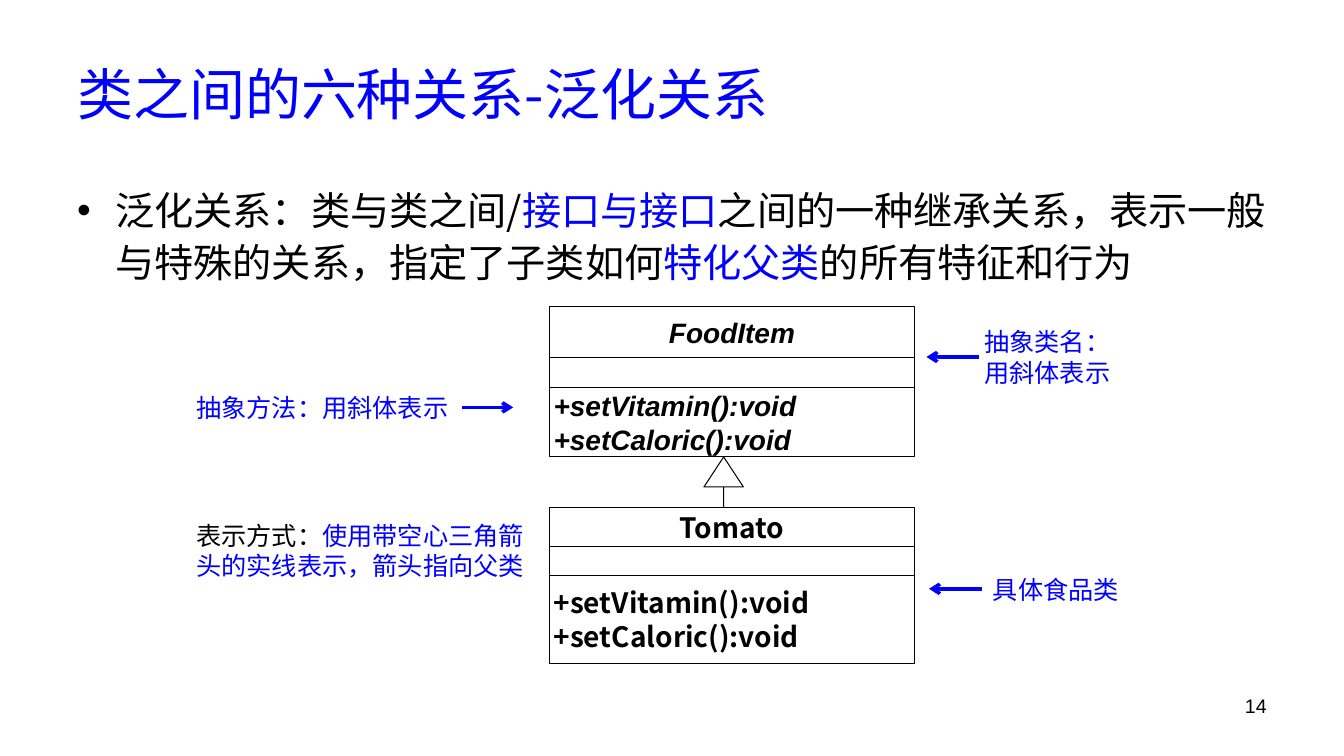
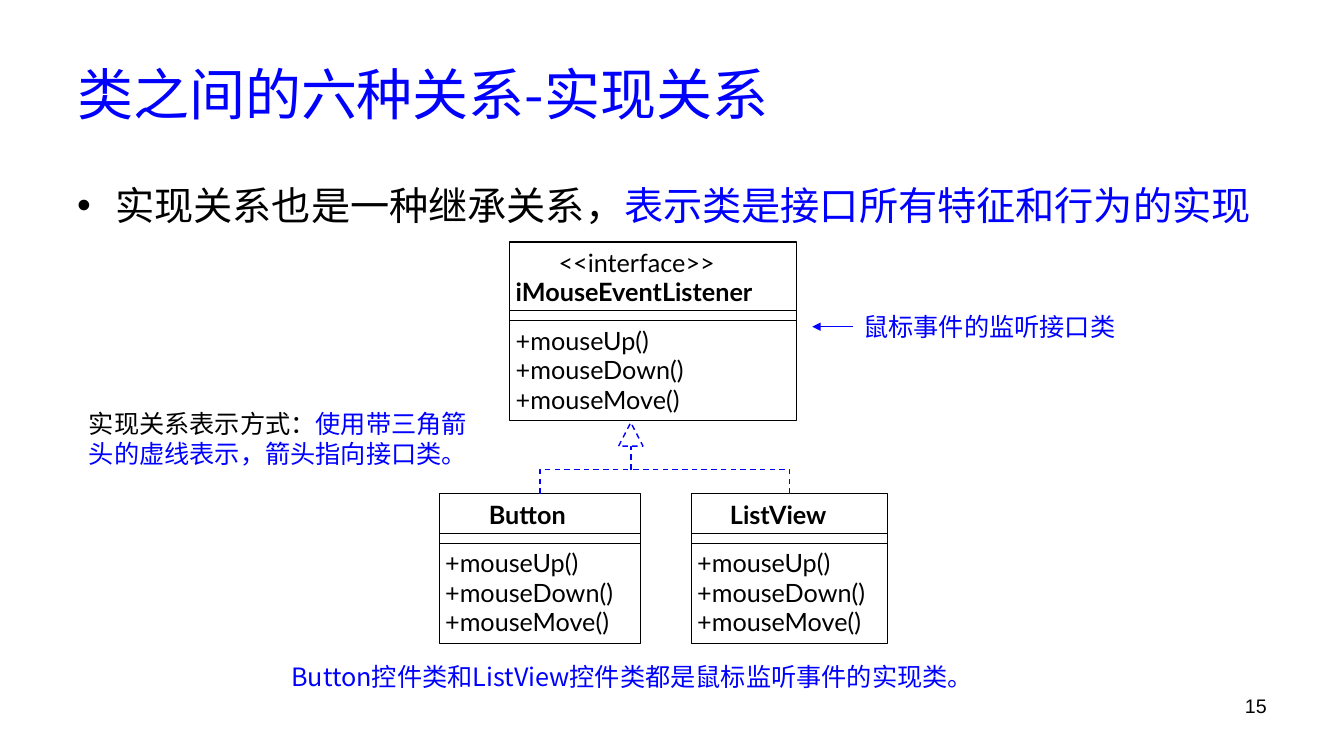
from pptx import Presentation
from pptx import util as u
from pptx.dml.color import RGBColor
from pptx.enum import dml, shapes, text
from pptx.oxml.ns import qn
from lxml import etree

COLORS = {"blue": "0000FF", "black": "000000", "white": "FFFFFF"}
CJK, SANS, UML = "Noto Sans CJK SC", "Arial", "Lato"
CELL = u.Inches(1 / 12)  # the slide is a grid of 160 columns and 90 rows
COLUMNS, ROWS = 160, 90
MARGIN = 8
LINE = 3.5  # rows per text line inside a listener class
ALIGN = text.PP_ALIGN


def grid(*cells):
    return [round(cell * CELL) for cell in cells]


def rgb(name):
    return RGBColor.from_string(COLORS[name])


def add_run(paragraph, words, size, color, font=CJK, bold=False, italic=False):
    run = paragraph.add_run()
    run.text = words
    run.font.size = u.Pt(size)
    run.font.name = font
    run.font.bold, run.font.italic = bold, italic
    run.font.color.rgb = rgb(color)
    etree.SubElement(run.font._element, qn("a:ea")).set("typeface", font)


def write(shape, lines, size, align=ALIGN.LEFT, anchor=text.MSO_ANCHOR.TOP,
          insets=None, **style):
    """Fill a shape; each line is a list of (words, colour) runs."""
    frame = shape.text_frame
    frame.word_wrap = True
    frame.auto_size = text.MSO_AUTO_SIZE.NONE
    frame.vertical_anchor = anchor
    if insets is not None:
        frame.margin_left = frame.margin_right = grid(insets)[0]
        frame.margin_top = frame.margin_bottom = 0
    for index, runs in enumerate(lines):
        paragraph = frame.add_paragraph() if index else frame.paragraphs[0]
        paragraph.alignment = align
        for words, color in runs:
            add_run(paragraph, words, size, color, **style)
    return frame.paragraphs


def add_text(slide, box, lines, size=18, **options):
    return write(slide.shapes.add_textbox(*grid(*box)), lines, size, **options)


def outline(line, color, width, dashed=False):
    line.color.rgb = rgb(color)
    line.width = u.Pt(width)
    if dashed:
        line.dash_style = dml.MSO_LINE.DASH


def add_shape(slide, kind, box, color="black", width=0.75, dashed=False):
    shape = slide.shapes.add_shape(kind, *grid(*box))
    shape.shadow.inherit = False
    shape.fill.solid()
    shape.fill.fore_color.rgb = rgb("white")
    outline(shape.line, color, width, dashed)
    return shape


def add_line(slide, start, end, color="blue", width=1, dashed=False, head=None,
             kind=shapes.MSO_CONNECTOR.STRAIGHT):
    line = slide.shapes.add_connector(kind, *grid(*start, *end))
    outline(line.line, color, width, dashed)
    if head:
        tail = etree.SubElement(line.line._get_or_add_ln(), qn("a:tailEnd"))
        tail.set("type", head)
    etree.SubElement(line._element.spPr, qn("a:effectLst"))
    return line


def add_riser(slide, start, end):
    """Dashed elbow that goes up from start, then sideways to end."""
    riser = add_line(slide, start, end, dashed=True,
                     kind=shapes.MSO_CONNECTOR.ELBOW)
    (x1, y1), (x2, y2) = start, end
    width, height = abs(y2 - y1), abs(x2 - x1)
    riser.left, riser.top, riser.width, riser.height = grid(
        (x1 + x2 - width) / 2, (y1 + y2 - height) / 2, width, height)
    properties = riser._element.spPr
    properties.find(qn("a:prstGeom")).set("prst", "bentConnector2")
    frame = properties.find(qn("a:xfrm"))
    frame.set("rot", str(270 * 60000))
    frame.set("flipH", "0")
    frame.set("flipV", "1" if x2 < x1 else "0")


def start_slide(presentation, title, number, statement, spacing):
    """Title, bulleted statement and page number shared by all slides."""
    slide = presentation.slides.add_slide(presentation.slide_layouts[5])
    heading = slide.shapes.title
    heading.left, heading.top, heading.width, heading.height = grid(
        MARGIN, 3.6, COLUMNS - 2 * MARGIN, 15)
    write(heading, [[(title, "blue")]], 40, anchor=text.MSO_ANCHOR.MIDDLE)

    bullet = add_text(slide, (MARGIN, 21, COLUMNS - 2 * MARGIN, 59.4),
                      [statement], 28)[0]
    bullet.line_spacing = spacing
    bullet.space_before = u.Pt(6.7)
    properties = bullet._element.get_or_add_pPr()
    indent = u.Inches(0.38)
    properties.set("marL", str(indent))
    properties.set("indent", str(-indent))
    etree.SubElement(properties, qn("a:buFont")).set("typeface", SANS)
    etree.SubElement(properties, qn("a:buChar")).set("char", "•")

    add_text(slide, (COLUMNS - MARGIN - 37.3, ROWS - 8, 37.3, 6.2),
             [[(number, "black")]], 14, align=ALIGN.RIGHT, font=SANS)
    return slide


def food_class(slide, left, top, width, heights, name, **style):
    """Class box of three stacked parts: name, attributes, methods."""
    methods = ["+setVitamin():void", "+setCaloric():void"]
    parts = [([name], ALIGN.CENTER), ([], None), (methods, ALIGN.LEFT)]
    for height, (lines, align) in zip(heights, parts):
        part = add_shape(slide, shapes.MSO_SHAPE.RECTANGLE,
                         (left, top, width, height))
        if lines:
            write(part, [[(line, "black")] for line in lines], 20, align,
                  text.MSO_ANCHOR.MIDDLE, insets=0.5, bold=True, **style)
        top += height


def listener_class(slide, left, top, width, heading):
    """Class box; heading holds (words, indent, bold) for each line."""
    methods = ["+mouseUp()", "+mouseDown()", "+mouseMove()"]
    head = 1.2 + LINE * len(heading)
    body = 1.8 + LINE * len(methods) + 0.8
    add_shape(slide, shapes.MSO_SHAPE.RECTANGLE,
              (left, top, width, head + body), width=0.88)
    for index, (words, indent, bold) in enumerate(heading):
        add_text(slide, (left + indent, top + 0.6 + index * LINE,
                         width - indent, 4.4),
                 [[(words, "black")]], insets=0, font=UML, bold=bold)
    for rule in (top + head, top + head + 1.2):
        add_line(slide, (left, rule), (left + width, rule), "black", 0.88)
    paragraphs = add_text(slide, (left + 0.7, top + head + 1.8, width - 0.7,
                                  LINE * len(methods)),
                          [[(method, "black")] for method in methods],
                          insets=0, font=UML)
    for paragraph in paragraphs:
        paragraph.line_spacing = u.Pt(21)


def generalization_slide(presentation):
    slide = start_slide(presentation, "类之间的六种关系-泛化关系", "14", [
        ("泛化关系：类与类之间/", "black"),
        ("接口与接口", "blue"),
        ("之间的一种继承关系，表示一般与特殊的关系，指定了子类如何", "black"),
        ("特化父类", "blue"),
        ("的所有特征和行为", "black")], 1.1)
    slide_left, width = 65.4, 43.5
    food_class(slide, slide_left, 36.5, width, (6.1, 3.5, 8.3), "FoodItem",
               font=SANS, italic=True)
    food_class(slide, slide_left, 60.4, width, (4.7, 3.4, 10.5), "Tomato")
    arrow = add_shape(slide, shapes.MSO_SHAPE.UP_ARROW, (83.8, 54.4, 4.7, 6))
    arrow.adjustments[0], arrow.adjustments[1] = 0, 0.76

    add_text(slide, (22.2, 46.1, 39.6, 8.5), [[("抽象方法：用斜体表示", "blue")]])
    add_text(slide, (22.2, 61.3, 41.4, 8.5), [[
        ("表示方式：", "black"),
        ("使用带空心三角箭头的实线表示，箭头指向父类", "blue")]])
    add_text(slide, (116, 38.3, 33.4, 8.5),
             [[("抽象类名：", "blue")], [("用斜体表示", "blue")]])
    add_text(slide, (112.9, 67.8, 25.6, 4.8), [[("具体食品类", "blue")]],
             align=ALIGN.CENTER)
    for start, end, row in ((55, 61.1, 48.5), (116.6, 110.3, 42.5),
                            (116.9, 110.6, 70.1)):
        add_line(slide, (start, row), (end, row), width=2.5, head="arrow")


def realization_slide(presentation):
    slide = start_slide(presentation, "类之间的六种关系-实现关系", "15", [
        ("实现关系也是一种继承关系，", "black"),
        ("表示类是接口所有特征和行为的实现", "blue")], 1.0)
    listener_class(slide, 60.7, 28.8, 34.1, [
        ("<<interface>>", 5.8, False), ("iMouseEventListener", 0.7, True)])

    trunk, bus, child_top = 75.1, 55.9, 58.8
    for left, width, name, indent in ((52.3, 24, "Button", 5.9),
                                      (82.3, 23.4, "ListView", 4.6)):
        listener_class(slide, left, child_top, width, [(name, indent, True)])
        add_riser(slide, (left + width / 2, child_top), (trunk, bus))
    add_line(slide, (trunk, bus), (trunk, 53.1), dashed=True)
    add_shape(slide, shapes.MSO_SHAPE.ISOSCELES_TRIANGLE,
              (trunk - 1.45, 50.3, 2.9, 2.8), "blue", 1, dashed=True)

    add_text(slide, (9.4, 48, 50, 8.5), [[
        ("实现关系表示方式：", "black"),
        ("使用带三角箭头的虚线表示，箭头指向接口类。", "blue")]])
    add_text(slide, (101.6, 36.5, 32.9, 4.8),
             [[("鼠标事件的监听接口类", "blue")]])
    add_line(slide, (101.6, 38.9), (96.7, 38.9), width=0.75, head="triangle")
    add_text(slide, (33.5, 78.2, 86, 4.8), [[
        ("Button控件类和ListView控件类都是鼠标监听事件的实现类。", "blue")]])


def main():
    presentation = Presentation()
    presentation.slide_width, presentation.slide_height = grid(COLUMNS, ROWS)
    generalization_slide(presentation)
    realization_slide(presentation)
    presentation.save("out.pptx")


if __name__ == "__main__":
    main()
